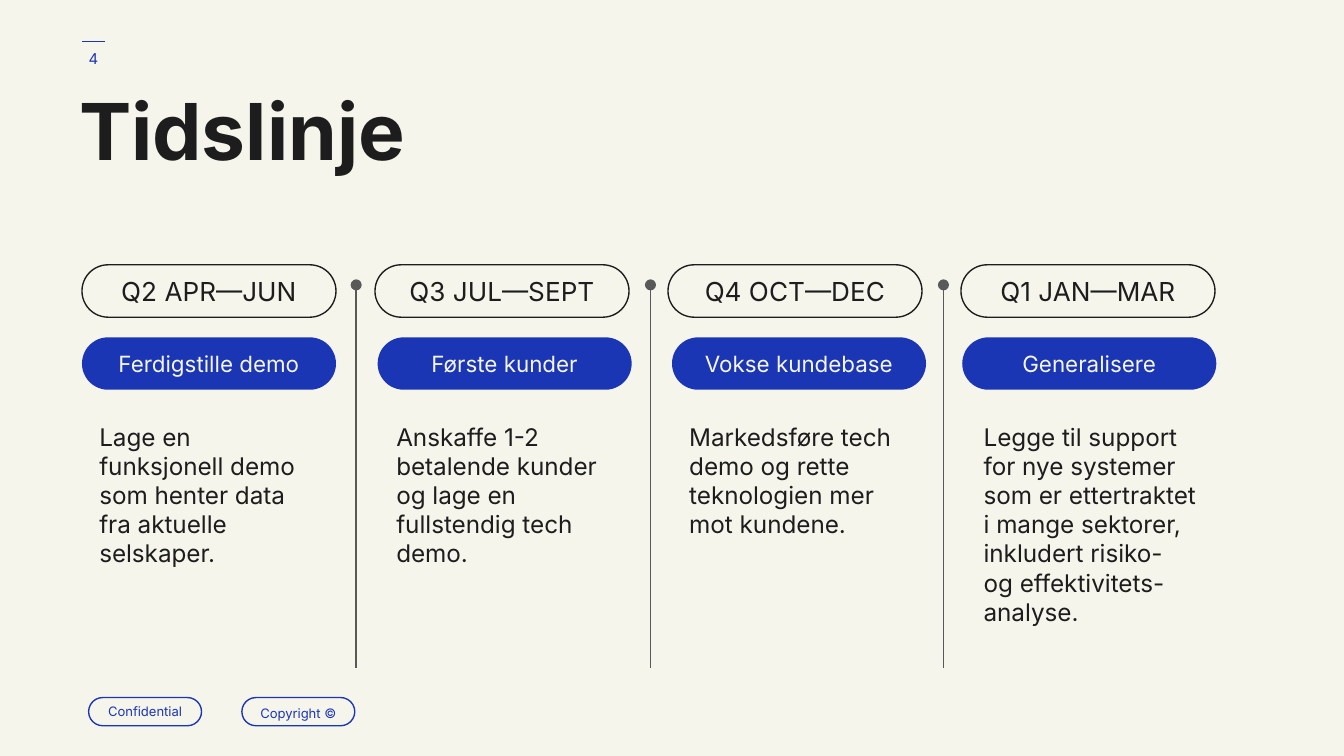
from lxml import etree
from pptx import Presentation
from pptx.dml.color import RGBColor
from pptx.enum.shapes import MSO_CONNECTOR, MSO_SHAPE
from pptx.enum.text import MSO_ANCHOR, PP_ALIGN
from pptx.oxml.ns import qn
from pptx.util import Inches, Pt

STRAIGHT = MSO_CONNECTOR.STRAIGHT
PILL = MSO_SHAPE.ROUNDED_RECTANGLE
TOP, MIDDLE = MSO_ANCHOR.TOP, MSO_ANCHOR.MIDDLE
LEFT, CENTER = PP_ALIGN.LEFT, PP_ALIGN.CENTER

BLUE, DARK, CREAM, GREY = "1A36B4", "1D1D1D", "F6F5EC", "595959"


def write_text(box, text, size, color, align=LEFT, anchor=TOP, bold=False, spacing=1.0):
    frame = box.text_frame
    inset = Inches(0.1)
    frame_format = {
        "word_wrap": True, "vertical_anchor": anchor,
        "margin_left": inset, "margin_right": inset,
        "margin_top": inset, "margin_bottom": inset,
    }
    for name, value in frame_format.items():
        setattr(frame, name, value)
    para = frame.paragraphs[0]
    para.alignment = align
    para.line_spacing = spacing
    span = para.add_run()
    span.text = text
    for name, value in {"name": "Inter", "size": Pt(size), "bold": bold}.items():
        setattr(span.font, name, value)
    span.font.color.rgb = RGBColor.from_string(color)


def draw_line(shapes, x1, y1, x2, y2, color):
    line = shapes.add_connector(STRAIGHT, Inches(x1), Inches(y1), Inches(x2), Inches(y2))
    line.line.color.rgb = RGBColor.from_string(color)
    line.line.width = Pt(0.75)
    etree.SubElement(line._element.spPr, qn("a:effectLst"))
    return line


# Widescreen page, 16:9
deck = Presentation()
deck.slide_width = Inches(10)
deck.slide_height = Inches(10) * 9 // 16
page = deck.slides.add_slide(deck.slide_layouts[6])
page.background.fill.solid()
page.background.fill.fore_color.rgb = RGBColor.from_string(CREAM)

# Page number with the short rule above it
draw_line(page.shapes, 0.78, 0.31, 0.61, 0.31, BLUE)
number = page.shapes.add_textbox(Inches(0.46), Inches(0.22), Inches(0.47), Inches(0.43))
write_text(number, "4", 8, BLUE, CENTER, MIDDLE)

# Title
title = page.shapes.add_textbox(Inches(0.49), Inches(0.65), Inches(7.51), Inches(1.14))
write_text(title, "Tidslinje", 42, DARK, bold=True, spacing=0.8)

# Timeline columns: quarter, goal, goal left, description, description left
columns = [
    ("Q2 APR—JUN", "Ferdigstille demo", 0.61,
     "Lage en funksjonell demo som henter data fra aktuelle selskaper.", 0.64),
    ("Q3 JUL—SEPT", "Første kunder", 2.81,
     "Anskaffe 1-2 betalende kunder og lage en fullstendig tech demo.", 2.85),
    ("Q4 OCT—DEC", "Vokse kundebase", 5,
     "Markedsføre tech demo og rette teknologien mer mot kundene.", 5.03),
    ("Q1 JAN—MAR", "Generalisere", 7.16,
     "Legge til support for nye systemer som er ettertraktet i mange sektorer, "
     "inkludert risiko- og effektivitets- analyse.", 7.22),
]

# Footer labels: text, left, top, width, height, size, text colour, outline, fill, spacing
pills = [
    ("Confidential", 0.66, 5.19, 0.84, 0.21, 7, BLUE, BLUE, None, 1.0),
    ("Copyright ©", 1.8, 5.19, 0.84, 0.21, 7, BLUE, BLUE, None, 1.15),
]
for index, (quarter, goal, goal_left, description, text_left) in enumerate(columns):
    quarter_left = 0.61 + 2.18 * index
    pills.append((quarter, quarter_left, 1.97, 1.89, 0.39, 14, DARK, DARK, None, 1.0))
    pills.append((goal, goal_left, 2.51, 1.89, 0.39, 12, CREAM, None, BLUE, 1.0))
    box = page.shapes.add_textbox(Inches(text_left), Inches(3.04), Inches(1.79), Inches(1.88))
    write_text(box, description, 13, DARK)

# Footer, quarter and goal pills
for text, left, top, width, height, size, color, outline, fill, spacing in pills:
    pill = page.shapes.add_shape(PILL, Inches(left), Inches(top), Inches(width), Inches(height))
    pill.adjustments[0] = 0.5
    pill.shadow.inherit = False
    if fill:
        pill.fill.solid()
        pill.fill.fore_color.rgb = RGBColor.from_string(fill)
    else:
        pill.fill.background()
    if outline:
        pill.line.color.rgb = RGBColor.from_string(outline)
        pill.line.width = Pt(0.75)
    else:
        pill.line.fill.background()
    write_text(pill, text, size, color, CENTER, MIDDLE, spacing=spacing)

# Dividers with a round head
for x in (2.65, 4.84, 7.02):
    divider = draw_line(page.shapes, x, 2.12, x, 4.97, GREY)
    etree.SubElement(divider.line._get_or_add_ln(), qn("a:headEnd"), type="oval")

deck.save("out.pptx")
